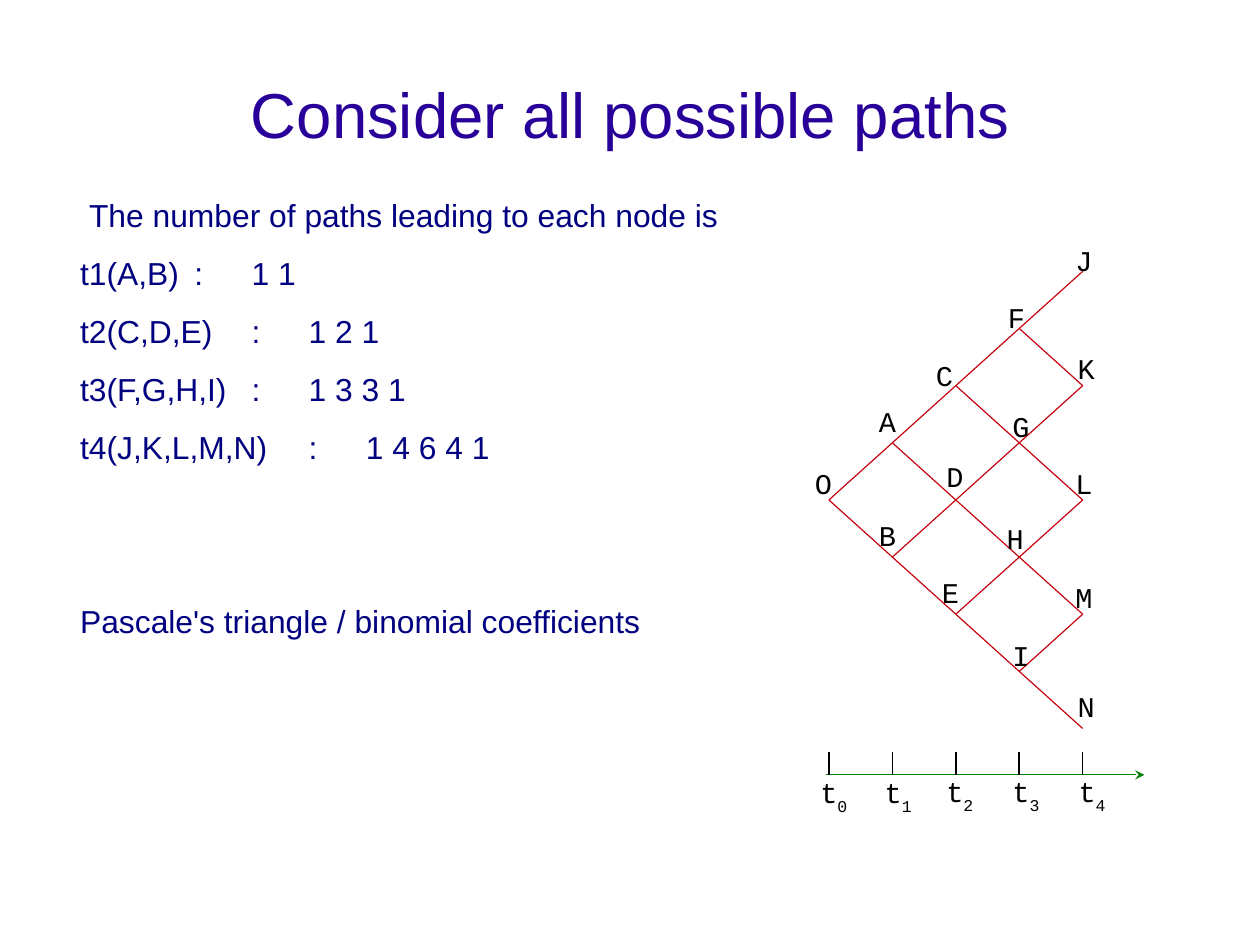
from typing import NamedTuple

from lxml.etree import SubElement
from pptx import Presentation
from pptx.dml.color import RGBColor
from pptx.enum.shapes import MSO_CONNECTOR as Connector
from pptx.enum.text import MSO_ANCHOR as Anchor, MSO_AUTO_SIZE as AutoSize, PP_ALIGN as Align
from pptx.oxml.ns import qn
from pptx.util import Cm, Pt

STEPS = 4
ORIGIN_X, ORIGIN_Y = 18.42, 11.11
STEP_X, STEP_Y = 1.41, 1.27
TICK_TOP, AXIS_Y = 16.71, 17.22
AXIS_LEFT, AXIS_RIGHT = 18.36, 25.43
RED, GREEN, BLACK, NAVY, VIOLET = "C5000B", "008000", "000000", "000080", "280099"


class Label(NamedTuple):
    text: str
    left: float
    top: float
    subscript: str = ""
    width: float = 0.97


class PathCount(NamedTuple):
    nodes: str
    counts: str


NODE_LABELS = [
    Label("O", 17.86, 10.36),
    Label("A", 19.28, 8.97), Label("B", 19.28, 11.51),
    Label("C", 20.55, 7.95), Label("D", 20.78, 10.21), Label("E", 20.68, 12.78),
    Label("F", 22.15, 6.68), Label("G", 22.25, 9.09),
    Label("H", 22.12, 11.58), Label("I", 22.25, 14.17),
    Label("J", 23.65, 5.41), Label("K", 23.7, 7.8), Label("L", 23.65, 10.36),
    Label("M", 23.65, 12.9), Label("N", 23.7, 15.32),
]
TIME_LABELS = [
    Label("t", left, top, str(step), 1.22)
    for step, (left, top) in enumerate(
        [(17.98, 17.12), (19.41, 17.12), (20.78, 17.09), (22.25, 17.09), (23.72, 17.09)])
]
PATH_COUNTS = [
    PathCount("t1(A,B)", "1 1"),
    PathCount("t2(C,D,E)", "1 2 1"),
    PathCount("t3(F,G,H,I)", "1 3 3 1"),
    PathCount("t4(J,K,L,M,N)", "1 4 6 4 1"),
]


def colour(value: str) -> RGBColor:
    return RGBColor.from_string(value)


def apply(target, values: dict) -> None:
    for name, value in values.items():
        setattr(target, name, value)


def add_span(para, text: str, font: str, size: float, hue: str):
    span = para.add_run()
    span.text = text
    apply(span.font, {"name": font, "size": Pt(size)})
    span.font.color.rgb = colour(hue)
    return span


def place(shape, left: float, top: float, width: float, height: float) -> None:
    apply(shape, {"left": Cm(left), "top": Cm(top), "width": Cm(width), "height": Cm(height)})


def add_title(page) -> None:
    title = page.shapes.title
    place(title, 1.4, 0.84, 25.2, 3.51)
    frame = title.text_frame
    apply(frame, {"margin_left": 0, "margin_top": 0, "margin_right": 0, "margin_bottom": 0,
                  "vertical_anchor": Anchor.MIDDLE, "auto_size": AutoSize.NONE})
    para = frame.paragraphs[0]
    apply(para, {"alignment": Align.CENTER, "line_spacing": 0.93})
    add_span(para, "Consider all possible paths", "Arial", 40, VIOLET)


def format_body_para(para, indent: float) -> None:
    """Remove the bullet and set the column stops for the path counts."""
    apply(para, {"line_spacing": 0.93, "space_before": Pt(0), "space_after": Pt(14.2)})
    props = para._p.get_or_add_pPr()
    props.set("marL", "0")
    props.set("indent", str(Cm(indent)))
    SubElement(props, qn("a:buNone"))
    stops = SubElement(props, qn("a:tabLst"))
    for position, kind in ((4.3, "l"), (6.1, "ctr")):
        SubElement(stops, qn("a:tab"), pos=str(Cm(position)), algn=kind)


def add_body(page) -> None:
    body = page.placeholders[1]
    place(body, 1.78, 4.34, 16.26, 14.12)
    frame = body.text_frame
    apply(frame, {"margin_left": 0, "margin_top": Cm(0.08), "margin_right": 0,
                  "margin_bottom": 0, "auto_size": AutoSize.NONE})
    lines = ["The number of paths leading to each node is",
             *(f"{row.nodes}\t:\t{row.counts}" for row in PATH_COUNTS),
             "Pascale's triangle / binomial coefficients"]
    for index, line in enumerate(lines):
        para = frame.add_paragraph() if index else frame.paragraphs[0]
        format_body_para(para, 0 if index else 0.2)
        add_span(para, line, "Arial", 20, NAVY)
    para.space_before = Pt(73)


def add_line(page, start: tuple[float, float], end: tuple[float, float],
             hue: str, weight: float, arrow: bool = False) -> None:
    points = [Cm(value) for value in (*start, *end)]
    line = page.shapes.add_connector(Connector.STRAIGHT, *points)
    line.line.color.rgb = colour(hue)
    line.line.width = Pt(weight)
    if arrow:
        SubElement(line.line._get_or_add_ln(), qn("a:tailEnd"), type="stealth")
    SubElement(line._element.spPr, qn("a:effectLst"))


def add_label(page, label: Label) -> None:
    box = page.shapes.add_textbox(Cm(label.left), Cm(label.top), Cm(label.width), Cm(0.86))
    box.text_frame.word_wrap = False
    para = box.text_frame.paragraphs[0]
    para.line_spacing = 0.83
    add_span(para, label.text, "Courier New", 18, BLACK)
    if label.subscript:
        span = add_span(para, label.subscript, "Courier New", 18, BLACK)
        span.font._element.set("baseline", "-33000")


def node(step: int, row: int) -> tuple[float, float]:
    return ORIGIN_X + step * STEP_X, ORIGIN_Y + (2 * row - step) * STEP_Y


def add_lattice(page) -> None:
    for step in range(STEPS):
        for row in range(step + 1):
            for drop in (0, 1):
                add_line(page, node(step, row), node(step + 1, row + drop), RED, 0.75)


def add_time_axis(page) -> None:
    add_line(page, (AXIS_LEFT, AXIS_Y), (AXIS_RIGHT, AXIS_Y), GREEN, 0.75, arrow=True)
    for step in range(STEPS + 1):
        x = ORIGIN_X + step * STEP_X
        add_line(page, (x, TICK_TOP), (x, AXIS_Y), BLACK, 1)


def main() -> None:
    deck = Presentation()
    apply(deck, {"slide_width": Cm(28), "slide_height": Cm(21)})
    page = deck.slides.add_slide(deck.slide_layouts[1])
    add_title(page)
    add_body(page)
    add_lattice(page)
    add_time_axis(page)
    for label in NODE_LABELS + TIME_LABELS:
        add_label(page, label)
    deck.save("out.pptx")


if __name__ == "__main__":
    main()
